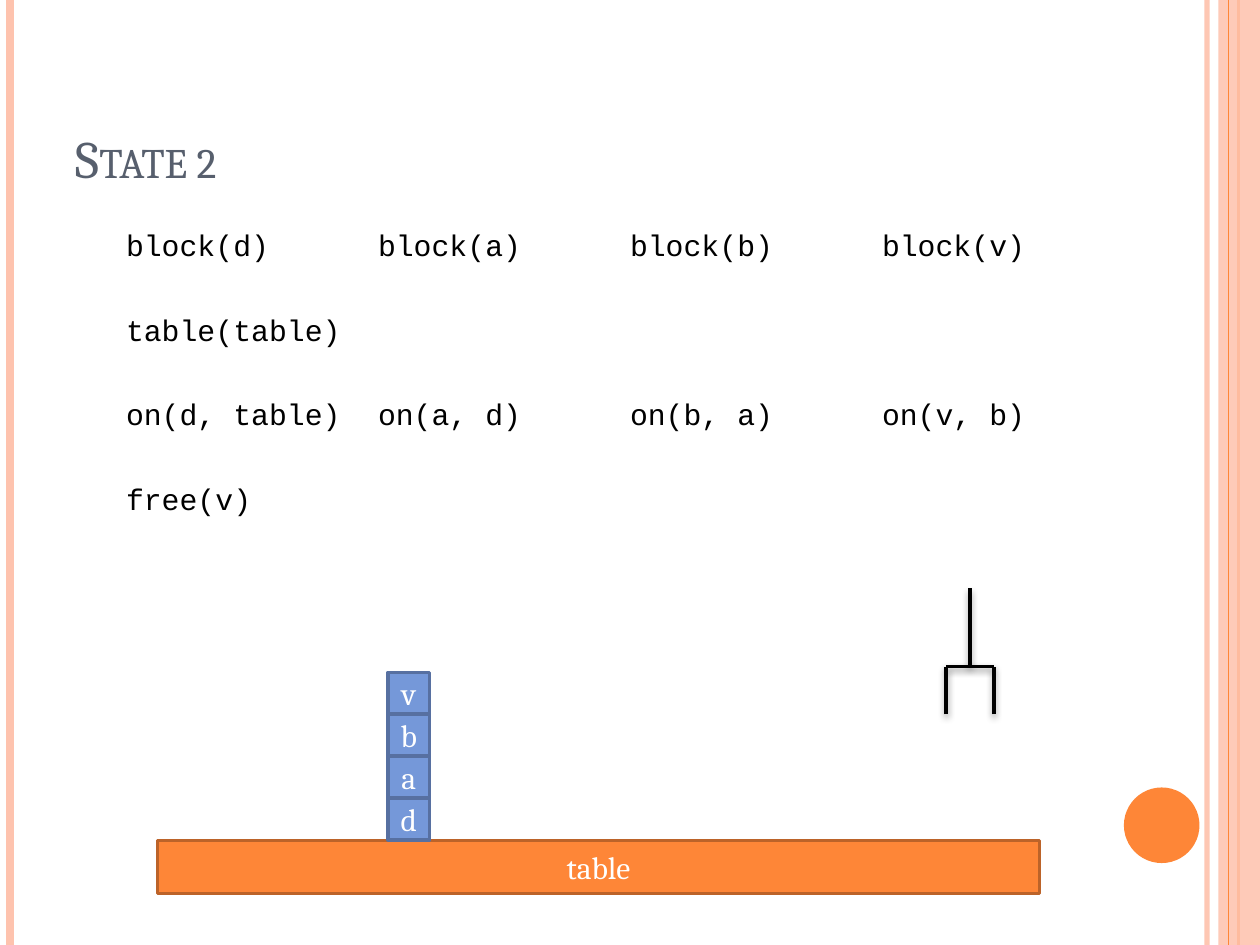
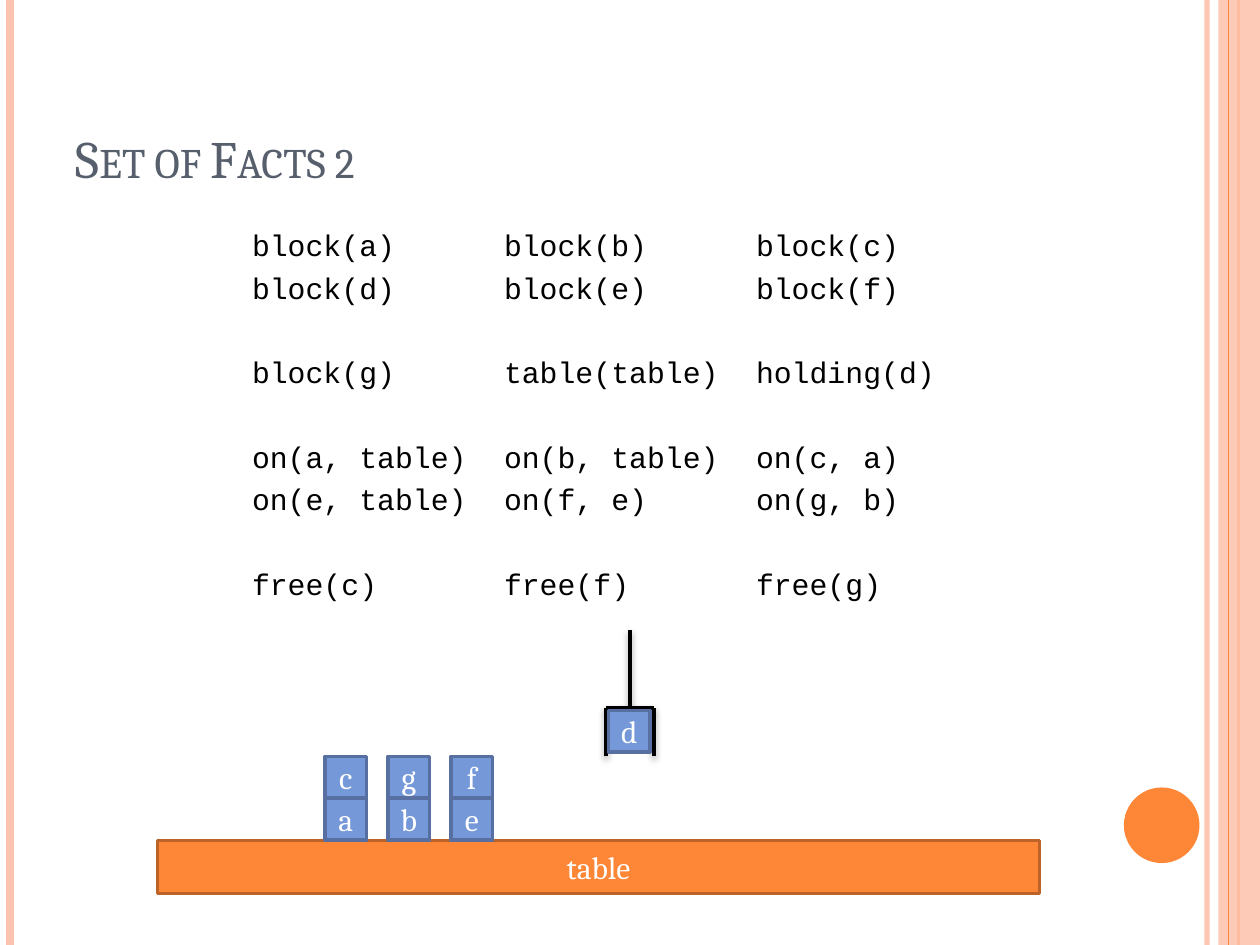
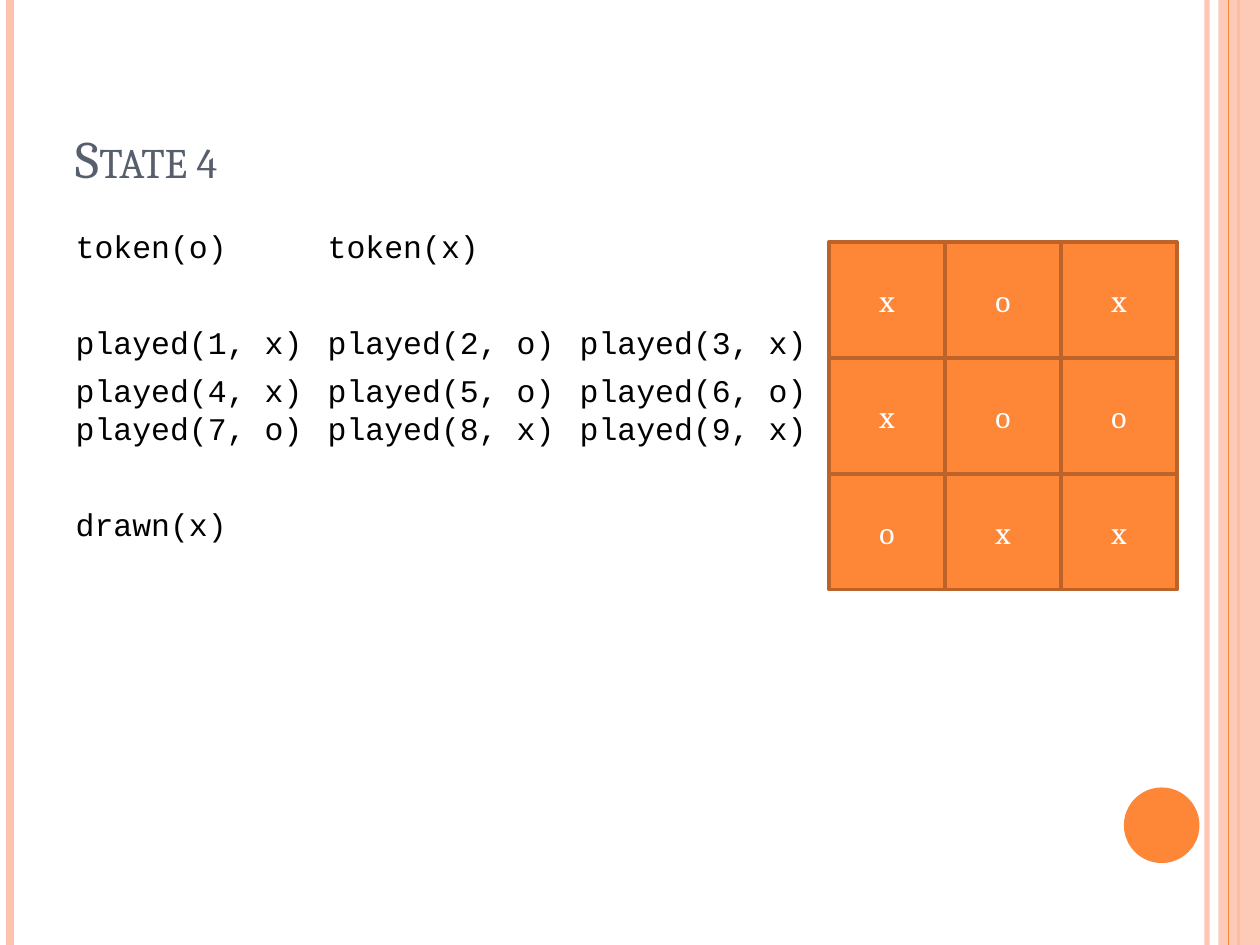
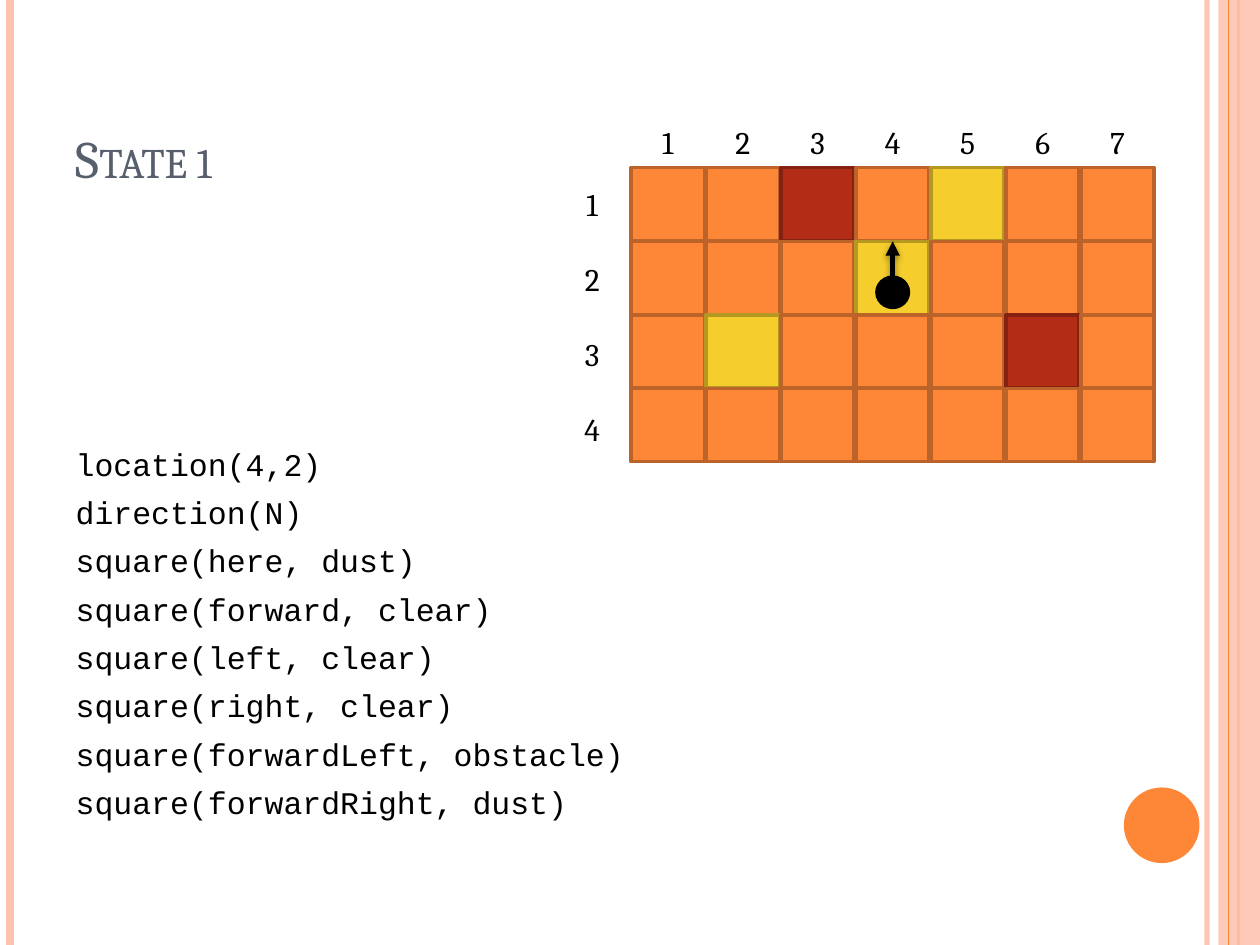
from dataclasses import dataclass
from typing import Optional

from lxml.etree import SubElement
from pptx import Presentation
from pptx.dml.color import RGBColor
from pptx.enum.shapes import MSO_CONNECTOR as Link, MSO_SHAPE as Form
from pptx.enum.text import MSO_ANCHOR as Anchor, MSO_AUTO_SIZE as Fit, PP_ALIGN as Align
from pptx.oxml.ns import qn
from pptx.util import Inches, Pt


@dataclass(frozen=True)
class Paint:
    fill: str
    edge: Optional[str] = None


@dataclass(frozen=True)
class Theme:
    serif: str = "Cambria"
    mono: str = "Courier New"
    ink: str = "000000"
    white: str = "FFFFFF"
    slate: str = "575F6D"
    peach: str = "FEC3AE"
    orange: Paint = Paint("FE8637", "BC6329")
    blue: Paint = Paint("7598D9", "5770A1")
    red: Paint = Paint("B32C16", "842110")
    gold: Paint = Paint("F5CD2D", "B59821")
    black: Paint = Paint("000000", "000000")
    head: float = 30
    text: float = 18
    code: float = 17
    edge: float = 2
    arrow: float = 2.75
    lead: float = 1.18  # line height of the code font, in ems


@dataclass(frozen=True)
class Box:
    left: float
    top: float
    width: float
    height: float

    def place(self) -> tuple:
        return tuple(Inches(v) for v in (self.left, self.top, self.width, self.height))


@dataclass(frozen=True)
class Rule:
    x: float
    color: str
    weight: float
    alpha: Optional[int] = None


@dataclass(frozen=True)
class Glow:
    alpha: int
    blur: float
    drop: float


@dataclass(frozen=True)
class Facts:
    """Groups of code lines, with a wider gap between groups."""
    box: Box
    groups: tuple
    size: float
    before: float
    indent: float = 0


T = Theme()
WIDE, HIGH = 10, 7.5
TITLE = Box(0.5, 0.3, 8.17, 1.25)
BODY = Box(0.5, 1.75, 8.42, 5.33)
RULES = (Rule(9.58, T.peach, 3, 93), Rule(0.08, T.peach, 4.5),
         Rule(9.83, T.orange.fill, 1.5))
THIN = Rule(9.75, T.orange.fill, 0.75)
BAND = Box(9.67, 0, 0.33, HIGH)
DOT = Box(8.92, 6.25, 0.6, 0.6)
DESK = Box(1.25, 6.67, 7, 0.42)
CUBE = 0.33
CLAW_GLOW, ARROW_GLOW = Glow(40, 4, 2), Glow(42, 4, 1.6)


def tint(color: str) -> RGBColor:
    return RGBColor.from_string(color)


def fade(shape, alpha: int) -> None:
    """Make the colours of a shape partly transparent."""
    for node in shape.element.xpath("./p:spPr//a:srgbClr"):
        SubElement(node, qn("a:alpha"), val=str(alpha * 1000))


def write(para, text: str, size: float, color: str, font: str):
    run = para.add_run()
    run.text = text
    run.font.name, run.font.size = font, Pt(size)
    run.font.color.rgb = tint(color)
    return run


def draw(shapes, form, box: Box, paint: Paint, text: str = ""):
    shape = shapes.add_shape(form, *box.place())
    shape.shadow.inherit = False
    shape.fill.solid()
    shape.fill.fore_color.rgb = tint(paint.fill)
    if paint.edge:
        shape.line.color.rgb = tint(paint.edge)
        shape.line.width = Pt(T.edge)
    else:
        shape.line.fill.background()
    if text:
        frame = shape.text_frame
        frame.margin_left = frame.margin_right = 0
        frame.margin_top = frame.margin_bottom = 0
        frame.vertical_anchor = Anchor.MIDDLE
        para = frame.paragraphs[0]
        para.alignment = Align.CENTER
        write(para, text, T.text, T.white, T.serif)
    return shape


def join(shapes, x1: float, y1: float, x2: float, y2: float, color: str,
         weight: float, glow: Optional[Glow] = None):
    line = shapes.add_connector(Link.STRAIGHT, *map(Inches, (x1, y1, x2, y2)))
    line.line.color.rgb = tint(color)
    line.line.width = Pt(weight)
    effect = SubElement(line.element.spPr, qn("a:effectLst"))
    if glow:
        shade = SubElement(effect, qn("a:outerShdw"), blurRad=str(Pt(glow.blur)),
                           dist=str(Pt(glow.drop)), dir="5400000", rotWithShape="0")
        color_node = SubElement(shade, qn("a:srgbClr"), val=T.ink)
        SubElement(color_node, qn("a:alpha"), val=str(glow.alpha * 1000))
    return line


def rule(shapes, item: Rule):
    line = join(shapes, item.x, 0, item.x, HIGH, item.color, item.weight)
    if item.alpha:
        fade(line, item.alpha)
    return line


def dress(deck, slide) -> None:
    """Draw the side bands once and move them to the slide master."""
    shapes = slide.shapes
    parts = [rule(shapes, item) for item in RULES]
    band = draw(shapes, Form.RECTANGLE, BAND, Paint(T.peach))
    fade(band, 87)
    parts += [band, rule(shapes, THIN),
              draw(shapes, Form.OVAL, DOT, Paint(T.orange.fill))]
    tree = deck.slide_master.shapes.element
    for key, part in enumerate(parts, 100):
        part.element.xpath(".//p:cNvPr")[0].set("id", str(key))
        tree.append(part.element)


def move(shape, box: Box) -> None:
    shape.left, shape.top, shape.width, shape.height = box.place()


def start(deck, title: str, facts: Facts):
    """Add a slide with its title and code lines."""
    slide = deck.slides.add_slide(deck.slide_layouts[1])
    head, body = slide.shapes.title, slide.placeholders[1]
    move(head, TITLE)
    frame = head.text_frame
    frame.auto_size, frame.vertical_anchor = Fit.NONE, Anchor.BOTTOM
    para = frame.paragraphs[0]
    para.alignment = Align.LEFT
    run = write(para, title, T.head, T.slate, T.serif)
    run.font._element.set("cap", "small")

    move(body, facts.box)
    frame = body.text_frame
    frame.auto_size = Fit.NONE
    gap = 2 * facts.before + T.lead * facts.size
    for g, group in enumerate(facts.groups):
        for n, text in enumerate(group):
            first = g == n == 0
            para = frame.paragraphs[0] if first else frame.add_paragraph()
            props = para._p.get_or_add_pPr()
            props.set("marL", str(Inches(facts.indent)))
            props.set("indent", "0")
            props.set("defTabSz", str(Inches(1)))
            SubElement(props, qn("a:buNone"))
            para.space_before = Pt(0 if first else facts.before if n else round(gap, 1))
            write(para, text, facts.size, T.ink, T.mono)
    return slide


def desk(shapes) -> None:
    draw(shapes, Form.RECTANGLE, DESK, T.orange, "table")


def cube(shapes, x: float, y: float, name: str) -> None:
    draw(shapes, Form.RECTANGLE, Box(x, y, CUBE, CUBE), T.blue, name)


def stack(shapes, x: float, names: str) -> None:
    """Pile cubes on the desk, the lowest named first."""
    for n, name in enumerate(names, 1):
        cube(shapes, x, DESK.top - n / 3, name)


def claw(shapes, x: float, y: float) -> None:
    half, bar, tip = 0.19, y + 0.62, y + 1
    for ends in ((x, y, x, bar), (x - half, bar, x + half, bar),
                 (x + half, tip, x + half, bar), (x - half, tip, x - half, bar)):
        join(shapes, *ends, T.ink, T.edge, CLAW_GLOW)


def label(shapes, x: float, y: float, text: str) -> None:
    box = shapes.add_textbox(*Box(x, y, 0.58, 0.4).place())
    frame = box.text_frame
    frame.word_wrap, frame.auto_size = True, Fit.SHAPE_TO_FIT_TEXT
    para = frame.paragraphs[0]
    para.alignment = Align.CENTER
    write(para, text, T.text, T.ink, T.serif)


def board(shapes) -> None:
    """Draw the noughts and crosses board as one group."""
    group, side = shapes.add_group_shape().shapes, 0.92
    for r, row in enumerate(("xox", "xoo", "oxx")):
        for c, mark in enumerate(row):
            box = Box(6.58 + c * side, 1.92 + r * side, side, side)
            draw(group, Form.RECTANGLE, box, T.orange, mark)


def room(shapes) -> None:
    """Draw the floor of squares with its numbers and the robot."""
    left, top, side, step = 5.01, 1.33, 0.58, 0.595
    paints = {".": T.orange, "#": T.red, "*": T.gold}
    cells = {}
    for r, row in enumerate(("..#.*..", "...*...", ".*...#.", "......."), 1):
        label(shapes, left - 0.6, 1.42 + (r - 1) * step, str(r))
        for c, mark in enumerate(row, 1):
            x, y = left + (c - 1) * step, top + (r - 1) * 0.585
            if r == 1:
                label(shapes, x, top - 0.4, str(c))
            cells[c, r] = draw(shapes, Form.RECTANGLE, Box(x, y, side, side), paints[mark])
    mid = left + 3 * step + side / 2
    robot = draw(shapes, Form.OVAL, Box(mid - 0.125, 2.2, 0.25, 0.24), T.black)
    arrow = join(shapes, mid, 2.2, mid, 1.92, T.ink, T.arrow, ARROW_GLOW)
    arrow.begin_connect(robot, 0)
    arrow.end_connect(cells[4, 2], 0)
    SubElement(arrow.line._get_or_add_ln(), qn("a:tailEnd"), type="triangle")


STACKED = Facts(BODY, (
    ("block(d)\tblock(a)\tblock(b)\tblock(v)",),
    ("table(table)",),
    ("on(d, table)\ton(a, d)\ton(b, a)\ton(v, b)",),
    ("free(v)",)), T.code, 3.9, 0.4)
HELD = Facts(BODY, (
    ("block(a)\tblock(b)\tblock(c)", "block(d)\tblock(e)\tblock(f)"),
    ("block(g)\ttable(table)\tholding(d)",),
    ("on(a, table)\ton(b, table)\ton(c, a)", "on(e, table)\ton(f, e)\ton(g, b)"),
    ("free(c)\t\tfree(f)\t\tfree(g)",)), T.code, 3.9, 1.4)
PLAYED = Facts(Box(0.5, 1.75, 6.05, 5.33), (
    ("token(o)\ttoken(x)",),
    ("played(1, x)\tplayed(2, o)\tplayed(3, x)",
     "played(4, x)\tplayed(5, o)\tplayed(6, o) played(7, o)\tplayed(8, x)\tplayed(9, x)"),
    ("drawn(x)",)), T.text, 6)
SEEN = Facts(Box(0.5, 3.48, 5.03, 3.6), ((
    "location(4,2)", "direction(N)", "square(here, dust)",
    "square(forward, clear)", "square(left, clear)", "square(right, clear)",
    "square(forwardLeft, obstacle)", "square(forwardRight, dust)"),), T.text, 6)


def main() -> None:
    deck = Presentation()
    deck.slide_width, deck.slide_height = Inches(WIDE), Inches(HIGH)

    slide = start(deck, "State 2", STACKED)
    dress(deck, slide)
    desk(slide.shapes)
    stack(slide.shapes, 3.08, "dabv")
    claw(slide.shapes, 7.7, 4.67)

    slide = start(deck, "Set of Facts 2", HELD)
    desk(slide.shapes)
    claw(slide.shapes, 5, 5)
    for n, names in enumerate(("ac", "bg", "ef")):
        stack(slide.shapes, 2.58 + n * 0.5, names)
    cube(slide.shapes, 4.83, 5.64, "d")

    slide = start(deck, "State 4", PLAYED)
    board(slide.shapes)

    slide = start(deck, "State 1", SEEN)
    room(slide.shapes)

    deck.save("out.pptx")


if __name__ == "__main__":
    main()
